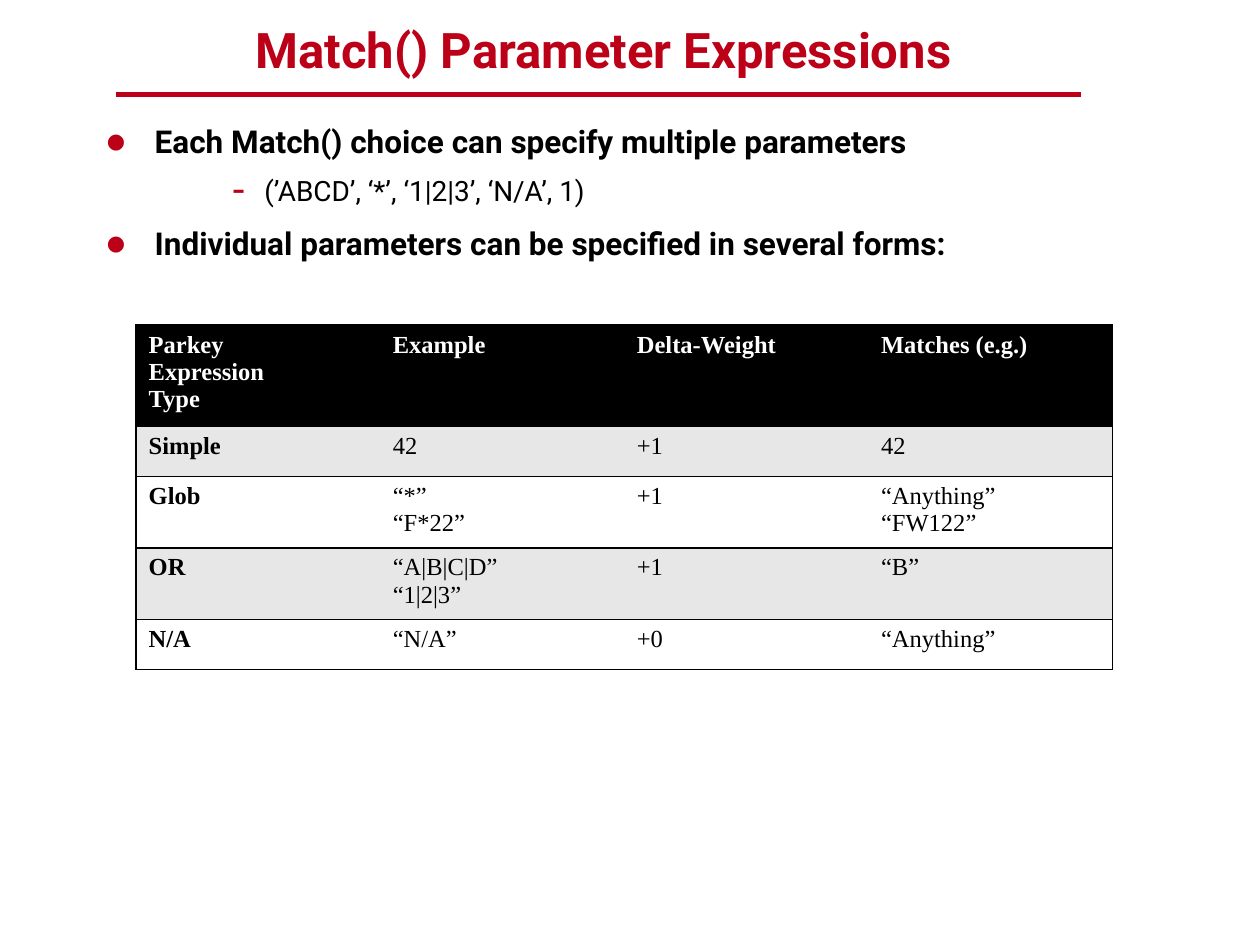
from lxml.etree import SubElement
from pptx import Presentation
from pptx.dml.color import RGBColor
from pptx.enum.shapes import MSO_CONNECTOR
from pptx.enum.text import MSO_ANCHOR, MSO_AUTO_SIZE, PP_ALIGN
from pptx.oxml.ns import qn
from pptx.util import Inches, Pt

COLOURS = {"accent": "BB0018", "ink": "000000", "paper": "FFFFFF", "band": "E7E7E7"}
SANS, SERIF = "Roboto", "Times New Roman"

BULLETS = [
    (0, "Each Match() choice can specify multiple parameters"),
    (2, "(’ABCD’, ‘*’, ‘1|2|3’, ‘N/A’, 1)"),
    (0, "Individual parameters can be specified in several forms:"),
]
LEVELS = {
    0: dict(size=18, bold=True, margin=0.38, hang=0.38, before=4, after=7.5, mark="●", scale=67),
    2: dict(size=16, bold=False, margin=1.25, hang=0.25, before=0, after=6, mark="-", scale=150),
}
ROWS = [
    ["Parkey\nExpression\nType", "Example", "Delta-Weight", "Matches (e.g.)"],
    ["Simple", "42", "+1", "42"],
    ["Glob", "“*”\n“F*22”", "+1", "“Anything”\n“FW122”"],
    ["OR", "“A|B|C|D”\n“1|2|3”", "+1", "“B”"],
    ["N/A", "“N/A”", "+0", "“Anything”"],
]
ROW_HEIGHTS = [0.49, 0.4, 0.49, 0.49, 0.4]


def rgb(name):
    return RGBColor.from_string(COLOURS[name])


class SlideBuilder:
    def __init__(self, deck):
        self.page = deck.slides.add_slide(deck.slide_layouts[5])
        self.page.background.fill.solid()
        self.page.background.fill.fore_color.rgb = rgb("paper")

    def span(self, para, text, size, font, colour, bold):
        span = para.add_run()
        span.text = text
        span.font.size, span.font.name, span.font.bold = Pt(size), font, bold
        span.font.color.rgb = rgb(colour)

    def title(self, text, left, top, width, height):
        box = self.page.shapes.title
        box.left, box.top, box.width, box.height = map(Inches, (left, top, width, height))
        frame = box.text_frame
        frame.auto_size = MSO_AUTO_SIZE.NONE
        frame.vertical_anchor = MSO_ANCHOR.MIDDLE
        para = frame.paragraphs[0]
        para.alignment = PP_ALIGN.CENTER
        self.span(para, text, 28, SANS, "accent", True)

    def rule(self, left, right, y):
        line = self.page.shapes.add_connector(
            MSO_CONNECTOR.STRAIGHT, Inches(left), Inches(y), Inches(right), Inches(y))
        line.line.color.rgb = rgb("accent")
        line.line.width = Pt(3)
        SubElement(line._element.spPr, qn("a:effectLst"))

    def bullets(self, items, left, top, width, height):
        box = self.page.shapes.add_textbox(*map(Inches, (left, top, width, height)))
        frame = box.text_frame
        frame.word_wrap = True
        for index, (level, text) in enumerate(items):
            para = frame.add_paragraph() if index else frame.paragraphs[0]
            look = LEVELS[level]
            para.level = level
            para.space_before, para.space_after = Pt(look["before"]), Pt(look["after"])
            self.mark(para, look)
            self.span(para, text, look["size"], SANS, "ink", look["bold"])

    def mark(self, para, look):
        """Give the paragraph its hanging indent and bullet."""
        props = para._p.get_or_add_pPr()
        props.set("marL", str(Inches(look["margin"])))
        props.set("indent", str(-Inches(look["hang"])))
        colour = SubElement(props, qn("a:buClr"))
        SubElement(colour, qn("a:srgbClr"), val=COLOURS["accent"])
        SubElement(props, qn("a:buSzPct"), val=str(look["scale"] * 1000))
        SubElement(props, qn("a:buFont"), typeface=SANS)
        SubElement(props, qn("a:buChar"), char=look["mark"])

    def table(self, rows, heights, left, top, width):
        columns = len(rows[0])
        table = self.page.shapes.add_table(
            len(rows), columns, Inches(left), Inches(top),
            Inches(width), Inches(sum(heights))).table
        for row, height in zip(table.rows, heights):
            row.height = Inches(height)
        for r, row in enumerate(rows):
            fill = "ink" if r == 0 else "band" if r % 2 else "paper"
            for c, text in enumerate(row):
                cell = table.cell(r, c)
                self.borders(cell, first=c == 0, last=c == columns - 1)
                cell.fill.solid()
                cell.fill.fore_color.rgb = rgb(fill)
                for index, line in enumerate(text.split("\n")):
                    frame = cell.text_frame
                    para = frame.add_paragraph() if index else frame.paragraphs[0]
                    colour = "ink" if r else "paper"
                    self.span(para, line, 14, SERIF, colour, r == 0 or c == 0)

    def borders(self, cell, first, last):
        """Rule above and below; verticals only on the table's outer sides."""
        props = cell._tc.get_or_add_tcPr()
        for side, shown in (("L", first), ("R", last), ("T", True), ("B", True)):
            line = SubElement(props, qn(f"a:ln{side}"), w=str(Pt(1)))
            if shown:
                fill = SubElement(line, qn("a:solidFill"))
                SubElement(fill, qn("a:srgbClr"), val=COLOURS["ink"])
            else:
                SubElement(line, qn("a:noFill"))


def main():
    deck = Presentation()
    deck.slide_width, deck.slide_height = Inches(10), Inches(7.5)
    slide = SlideBuilder(deck)
    slide.rule(0.92, 8.58, 0.75)
    slide.title("Match() Parameter Expressions", 1, 0.17, 7.58, 0.44)
    slide.bullets(BULLETS, 0.75, 0.92, 8.5, 5.42)
    slide.table(ROWS, ROW_HEIGHTS, 1.08, 2.58, 7.75)
    deck.save("out.pptx")


if __name__ == "__main__":
    main()
